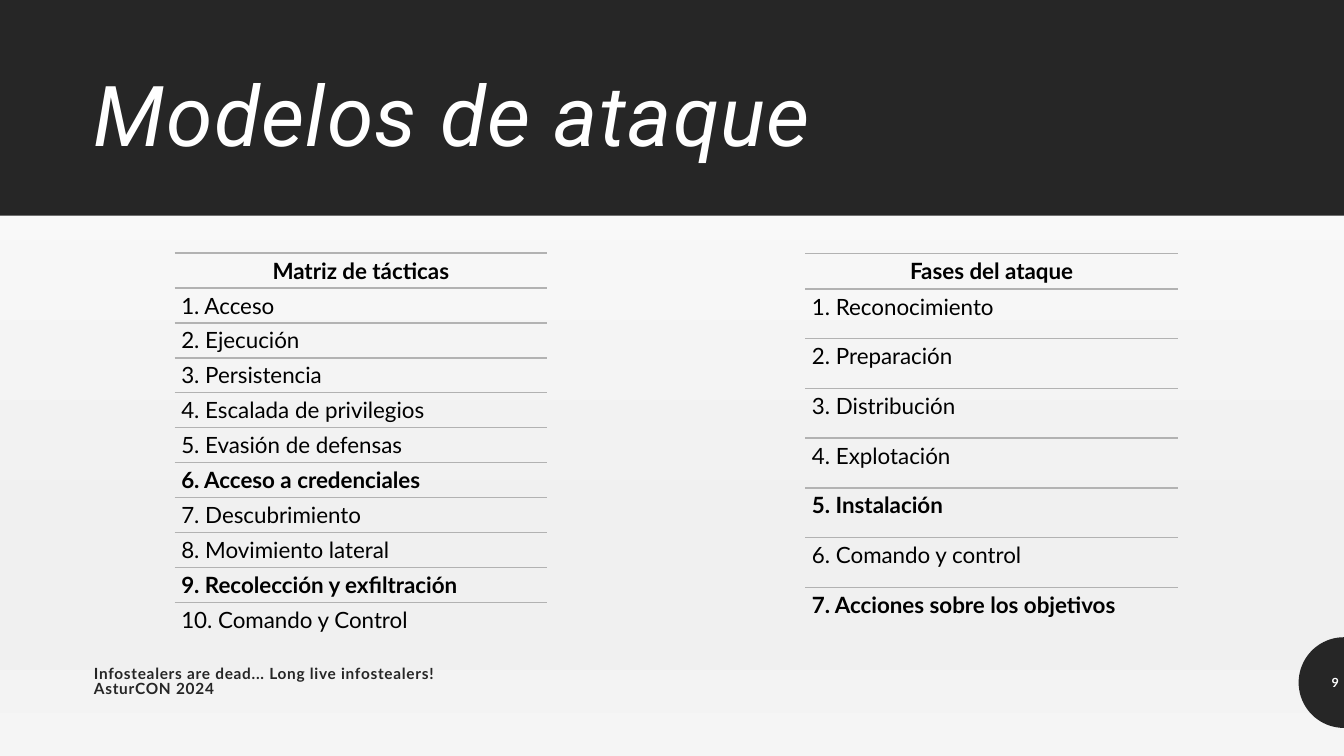
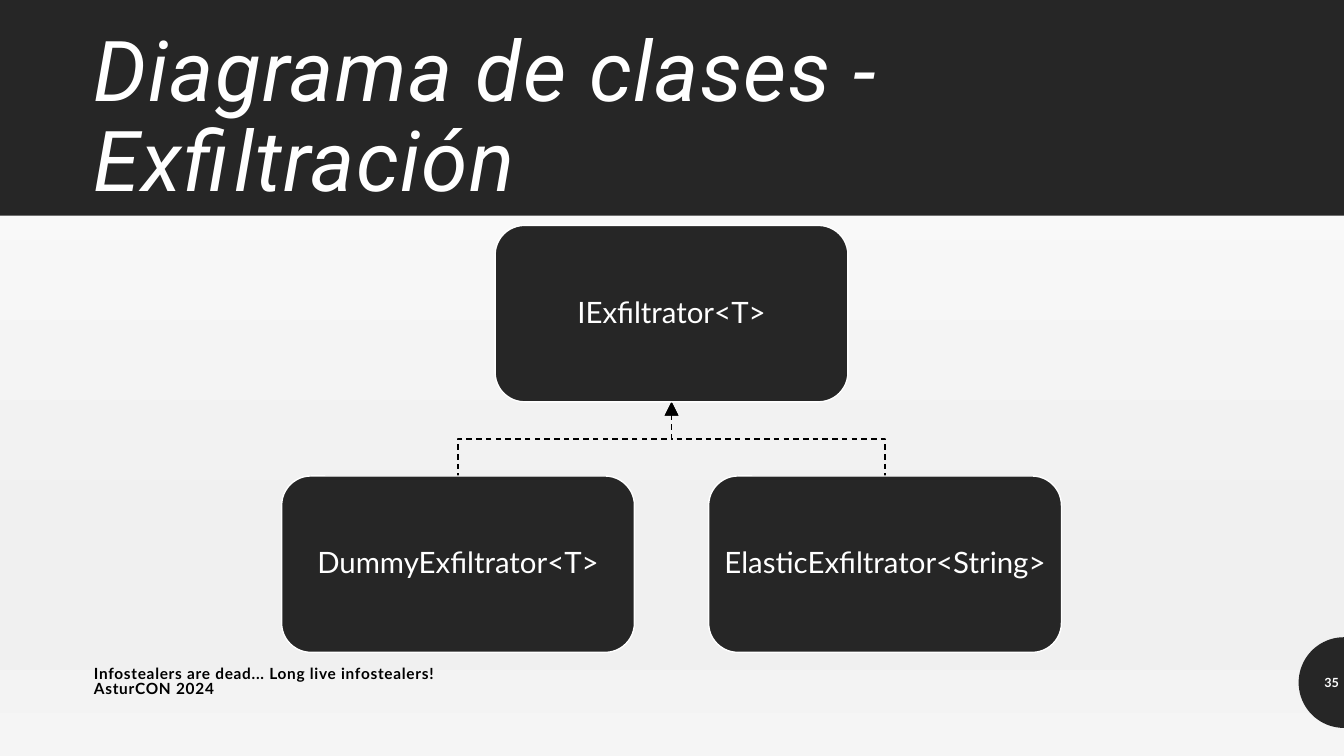
from copy import deepcopy
from dataclasses import dataclass
from math import cos, pi, sin

from lxml import etree
from pptx import Presentation
from pptx.dml.color import RGBColor
from pptx.enum import dml, shapes, text
from pptx.oxml.ns import qn
from pptx.util import Pt

DARK, WHITE, BLACK, GREY = "262626", "FFFFFF", "000000", "B2B2B2"
STOPS = [(0, "FDFDFD"), (0.74, "F0F0F0"), (0.83, "F0F0F0"), (1, "F5F5F5")]
WIDE, HIGH = 960, 540
LEFT, CENTER, RIGHT = text.PP_ALIGN.LEFT, text.PP_ALIGN.CENTER, text.PP_ALIGN.RIGHT
TOP, MIDDLE = text.MSO_ANCHOR.TOP, text.MSO_ANCHOR.MIDDLE


@dataclass
class Style:
    size: float
    color: str
    font: str = "Lato"
    bold: bool = False
    slant: bool = False
    track: float = 0
    align: text.PP_ALIGN = LEFT
    anchor: text.MSO_ANCHOR = MIDDLE
    lead: float = 0.9
    inset: tuple = (7.2, 3.6)


@dataclass
class Panel:
    left: float
    top: float
    head: float
    row: float
    title: str
    items: list
    strong: set


@dataclass
class Node:
    label: str
    mid: float
    top: float


TITLE = Style(60, WHITE, "Roboto", slant=True, track=1)
NUMBER = Style(9, WHITE, bold=True, align=RIGHT, lead=1, inset=(3.6, 3.6))
LABEL = Style(21, WHITE, align=CENTER, inset=(0.7, 0.7))

PANEL_W = 266.2
PANELS = [
    Panel(124.7, 180.8, 24.95, 24.95, "Matriz de tácticas",
          ["Acceso", "Ejecución", "Persistencia", "Escalada de privilegios",
           "Evasión de defensas", "Acceso a credenciales", "Descubrimiento",
           "Movimiento lateral", "Recolección y exfiltración",
           "Comando y Control"], {6, 9}),
    Panel(575.2, 181.2, 25.3, 35.5, "Fases del ataque",
          ["Reconocimiento", "Preparación", "Distribución", "Explotación",
           "Instalación", "Comando y control", "Acciones sobre los objetivos"],
          {5, 7}),
]

NODE_W, NODE_H = 252, 126
AXIS, REACH = 479.7, 152.5
ROOT = Node("IExfiltrator<T>", AXIS, 161)
LEAVES = [Node("DummyExfiltrator<T>", AXIS - REACH, 340),
          Node("ElasticExfiltrator<String>", AXIS + REACH, 340)]


def rgb(code: str) -> RGBColor:
    return RGBColor.from_string(code)


def paint(shape, fill: str | None, line: str | None = None) -> None:
    shape.shadow.inherit = False
    if fill:
        shape.fill.solid()
        shape.fill.fore_color.rgb = rgb(fill)
    else:
        shape.fill.background()
    if line:
        shape.line.color.rgb = rgb(line)
        shape.line.width = Pt(1)
    else:
        shape.line.fill.background()


def write(shape, words: str, style: Style) -> None:
    frame = shape.text_frame
    frame.word_wrap = True
    frame.vertical_anchor = style.anchor
    side, edge = style.inset
    frame.margin_left = frame.margin_right = Pt(side)
    frame.margin_top = frame.margin_bottom = Pt(edge)
    para = frame.paragraphs[0]
    para.text = words
    para.alignment = style.align
    para.line_spacing = style.lead
    font = para.font
    font.name, font.size = style.font, Pt(style.size)
    font.bold, font.italic = style.bold, style.slant
    font.color.rgb = rgb(style.color)
    if style.track:
        for props in shape.element.iter(qn("a:defRPr")):
            props.set("spc", str(round(style.track * 100)))


def label(slide, left: float, top: float, width: float, height: float,
          words: str, style: Style) -> None:
    box = slide.shapes.add_textbox(Pt(left), Pt(top), Pt(width), Pt(height))
    write(box, words, style)


def trace(slide, points: list, close: bool):
    spots = [(Pt(x), Pt(y)) for x, y in points]
    pen = slide.shapes.build_freeform(*spots[0])
    pen.add_line_segments(spots[1:], close=close)
    return pen.convert_to_shape()


def rule(slide, left: float, top: float, width: float) -> None:
    line = slide.shapes.add_connector(
        shapes.MSO_CONNECTOR.STRAIGHT, Pt(left), Pt(top), Pt(left + width), Pt(top))
    line.line.color.rgb = rgb(GREY)
    line.line.width = Pt(1)
    etree.SubElement(line.element.spPr, qn("a:effectLst"))


def shade(slide) -> None:
    fill = slide.background.fill
    fill.gradient()
    fill.gradient_angle = 270
    last = next(slide.element.iter(qn("a:gsLst")))[-1]
    for _ in STOPS[2:]:
        last.addnext(deepcopy(last))
    for stop, (place, color) in zip(fill.gradient_stops, STOPS):
        stop.position = place
        stop.color.rgb = rgb(color)


def start(deck, title: str, number: int, ink: str):
    slide = deck.slides.add_slide(deck.slide_layouts[6])
    shade(slide)
    band = slide.shapes.add_shape(
        shapes.MSO_SHAPE.RECTANGLE, 0, 0, Pt(WIDE), Pt(154))
    paint(band, DARK)
    label(slide, 60, 33, 840, 104.5, title, TITLE)
    radius, steps = 32.4, 40
    turns = [pi * step / steps for step in range(steps + 1)]
    arc = [(WIDE - radius * sin(turn), 487.6 - radius * cos(turn)) for turn in turns]
    paint(trace(slide, arc, True), DARK)
    label(slide, WIDE - radius, 473, radius, 29, str(number), NUMBER)
    foot = Style(11, ink, bold=True, track=0.5, lead=0.8)
    label(slide, 60, 473, 302, 29,
          "Infostealers are dead... Long live infostealers!\vAsturCON 2024", foot)
    return slide


def fill_panel(slide, panel: Panel) -> None:
    rows = [panel.title] + [f"{n}. {item}" for n, item in enumerate(panel.items, 1)]
    top = panel.top
    for n, words in enumerate(rows):
        height = panel.row if n else panel.head
        style = Style(16, BLACK, bold=n == 0 or n in panel.strong,
                      align=LEFT if n else CENTER, anchor=TOP, inset=(4.8, 4.8))
        rule(slide, panel.left, top, PANEL_W)
        label(slide, panel.left, top, PANEL_W, height, words, style)
        top += height


def link(slide, root: Node, leaf: Node) -> None:
    foot = root.top + NODE_H
    bend = (foot + leaf.top) / 2
    line = trace(slide, [(root.mid, foot), (root.mid, bend),
                         (leaf.mid, bend), (leaf.mid, leaf.top)], False)
    paint(line, None, BLACK)
    line.line.dash_style = dml.MSO_LINE.DASH
    stroke = next(line.element.iter(qn("a:ln")))
    etree.SubElement(stroke, qn("a:headEnd"), type="triangle", w="lg", len="lg")


def draw(slide, node: Node) -> None:
    box = slide.shapes.add_shape(
        shapes.MSO_SHAPE.FLOWCHART_ALTERNATE_PROCESS,
        Pt(node.mid - NODE_W / 2), Pt(node.top), Pt(NODE_W), Pt(NODE_H))
    paint(box, DARK, WHITE)
    write(box, node.label, LABEL)


def main() -> None:
    deck = Presentation()
    deck.slide_width, deck.slide_height = Pt(WIDE), Pt(HIGH)
    models = start(deck, "Modelos de ataque", 9, DARK)
    for panel in PANELS:
        fill_panel(models, panel)
    tree = start(deck, "Diagrama de clases - Exfiltración", 35, BLACK)
    for leaf in LEAVES:
        link(tree, ROOT, leaf)
    for node in [ROOT, *LEAVES]:
        draw(tree, node)
    deck.save("out.pptx")


if __name__ == "__main__":
    main()
